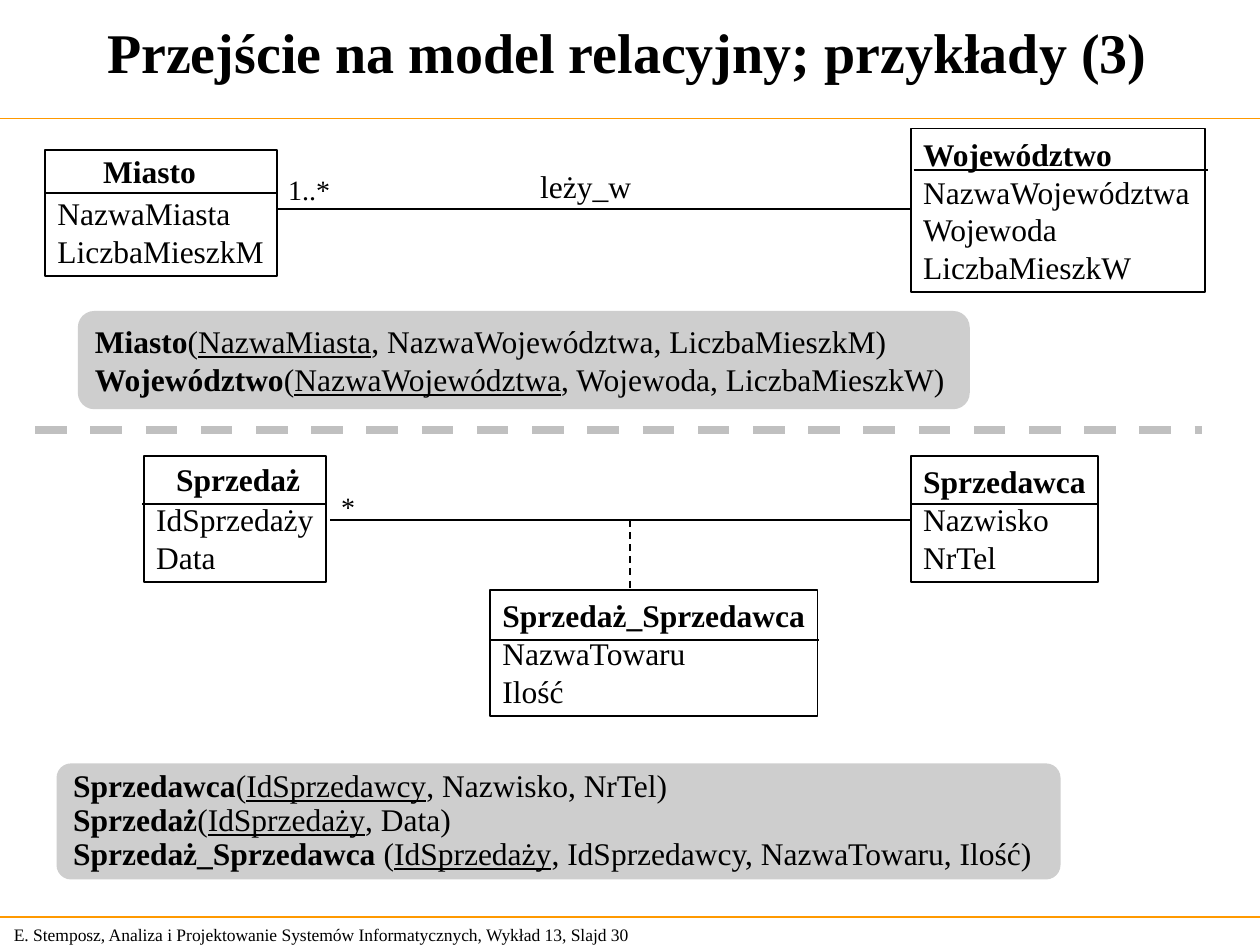
import pptx
import pptx.util
import pptx.dml.color
import pptx.enum.dml
import pptx.enum.shapes
import pptx.enum.text
import pptx.oxml
from pptx.util import Cm, Pt

BLACK = pptx.dml.color.RGBColor(0x00, 0x00, 0x00)
ORANGE = pptx.dml.color.RGBColor(0xFF, 0x99, 0x00)
PANEL_GREY = pptx.dml.color.RGBColor(0xCE, 0xCE, 0xCE)
DIVIDER_GREY = pptx.dml.color.RGBColor(0xC0, 0xC0, 0xC0)
FONT = "Times New Roman"
SHAPES = pptx.enum.shapes.MSO_SHAPE
ANCHOR = pptx.enum.text.MSO_ANCHOR

prs = pptx.Presentation()
prs.slide_width, prs.slide_height = Cm(25.4), Cm(19.05)
slide = prs.slides.add_slide(prs.slide_layouts[5])


def draw_line(x1, y1, x2, y2, color=BLACK, width=1, dashed=False):
    line = slide.shapes.add_connector(
        pptx.enum.shapes.MSO_CONNECTOR.STRAIGHT, Cm(x1), Cm(y1), Cm(x2), Cm(y2))
    line.line.color.rgb = color
    line.line.width = Pt(width)
    if dashed:
        line.line.dash_style = pptx.enum.dml.MSO_LINE.DASH
    line._element.spPr.append(pptx.oxml.parse_xml(
        '<a:effectLst xmlns:a="http://schemas.openxmlformats.org/drawingml/2006/main"/>'))


def write(frame, paragraphs, size, anchor=ANCHOR.TOP, wrap=False):
    """Fill a frame; each paragraph is a list of (text, style), style using b and u."""
    frame.word_wrap = wrap
    frame.vertical_anchor = anchor
    for i, runs in enumerate(paragraphs):
        paragraph = frame.paragraphs[0] if i == 0 else frame.add_paragraph()
        paragraph.alignment = pptx.enum.text.PP_ALIGN.LEFT
        paragraph.font.name = FONT
        paragraph.font.size = Pt(size)
        paragraph.font.color.rgb = BLACK
        for text, style in runs:
            run = paragraph.add_run()
            run.text = text
            if "b" in style:
                run.font.bold = True
            if "u" in style:
                run.font.underline = True


# Title, rules and footer
title = slide.shapes.title
title.left, title.top, title.width, title.height = Cm(0), Cm(-0.05), Cm(25.3), Cm(2.16)
write(title.text_frame, [[("Przejście na model relacyjny; przykłady (3)", "b")]],
      32, ANCHOR.MIDDLE, wrap=True)
title.text_frame.paragraphs[0].alignment = pptx.enum.text.PP_ALIGN.CENTER

for rule_y in (2.39, 18.48):
    draw_line(0, rule_y, 25.4, rule_y, ORANGE, 1)

# Relation schemas: left, top, width, height, corner, line spacing, relations
schemas = [
    (1.57, 6.27, 17.98, 1.98, 0.167, 1.0, [
        ("Miasto", "NazwaMiasta", ", NazwaWojewództwa, LiczbaMieszkM)"),
        ("Województwo", "NazwaWojewództwa", ", Wojewoda, LiczbaMieszkW)")]),
    (1.14, 15.39, 20.24, 2.34, 0.125, 0.9, [
        ("Sprzedawca", "IdSprzedawcy", ", Nazwisko, NrTel)"),
        ("Sprzedaż", "IdSprzedaży", ", Data)"),
        ("Sprzedaż_Sprzedawca ", "IdSprzedaży",
         ", IdSprzedawcy, NazwaTowaru, Ilość)")]),
]
for left, top, width, height, corner, spacing, relations in schemas:
    panel = slide.shapes.add_shape(
        SHAPES.ROUNDED_RECTANGLE, Cm(left), Cm(top), Cm(width), Cm(height))
    panel.adjustments[0] = corner
    panel.shadow.inherit = False
    panel.fill.solid()
    panel.fill.fore_color.rgb = PANEL_GREY
    panel.line.fill.background()
    write(panel.text_frame,
          [[(name, "b"), ("(", ""), (key, "u"), (rest, "")]
           for name, key, rest in relations], 18, ANCHOR.MIDDLE)
    for paragraph in panel.text_frame.paragraphs:
        paragraph.line_spacing = spacing

# Classes: left, top, width, height, separator (x1, x2, y), heading, attributes
classes = [
    (0.91, 3.02, 4.67, 2.54, (0.91, 5.61, 3.89), None,
     ["NazwaMiasta", "LiczbaMieszkM"]),
    (18.36, 2.59, 5.94, 3.3, (18.42, 24.36, 3.43), "Województwo",
     ["NazwaWojewództwa", "Wojewoda", "LiczbaMieszkW"]),
    (2.9, 9.19, 3.68, 2.54, (2.87, 6.6, 10.16), None, ["IdSprzedaży", "Data"]),
    (18.36, 9.19, 3.78, 2.54, (18.36, 22.15, 10.16), "Sprzedawca",
     ["Nazwisko", "NrTel"]),
    (9.88, 11.89, 6.6, 2.54, (9.86, 16.51, 12.9), "Sprzedaż_Sprzedawca",
     ["NazwaTowaru", "Ilość"]),
]
for left, top, width, height, (x1, x2, y), heading, attributes in classes:
    box = slide.shapes.add_shape(
        SHAPES.RECTANGLE, Cm(left), Cm(top), Cm(width), Cm(height))
    box.shadow.inherit = False
    box.fill.background()
    box.line.color.rgb = BLACK
    box.line.width = Pt(1)
    rows = [[(heading, "b")]] if heading else []
    rows += [[(attribute, "")] for attribute in attributes]
    write(box.text_frame, rows, 18, ANCHOR.BOTTOM)
    draw_line(x1, y, x2, y)

# Associations and the divider between the two examples
draw_line(5.59, 4.22, 18.36, 4.22)
draw_line(6.65, 10.48, 18.36, 10.48)
draw_line(12.7, 10.48, 12.7, 11.89, dashed=True)
draw_line(0.71, 8.66, 24.23, 8.66, DIVIDER_GREY, 4.5, dashed=True)

# Free labels: left, top, width, height, text, size, style, wrap
labels = [
    (1.83, 2.95, 2.8, 1.02, "Miasto", 18, "b", False),
    (3.3, 9.14, 3.4, 1.02, "Sprzedaż", 18, "b", False),
    (10.64, 3.25, 2.5, 1.02, "leży_w", 18, "", False),
    (5.56, 3.35, 1.5, 0.94, "1..*", 16, "", False),
    (6.63, 9.75, 0.9, 0.94, "*", 16, "", False),
    (0.03, 18.49, 13.6, 0.69,
     "E. Stemposz, Analiza i Projektowanie Systemów Informatycznych, Wykład 13, Slajd 30",
     10, "", True),
]
for left, top, width, height, text, size, style, wrap in labels:
    label = slide.shapes.add_textbox(Cm(left), Cm(top), Cm(width), Cm(height))
    write(label.text_frame, [[(text, style)]], size,
          ANCHOR.MIDDLE if wrap else ANCHOR.TOP, wrap)
    if not wrap:
        label.text_frame.auto_size = pptx.enum.text.MSO_AUTO_SIZE.NONE

prs.save("out.pptx")
